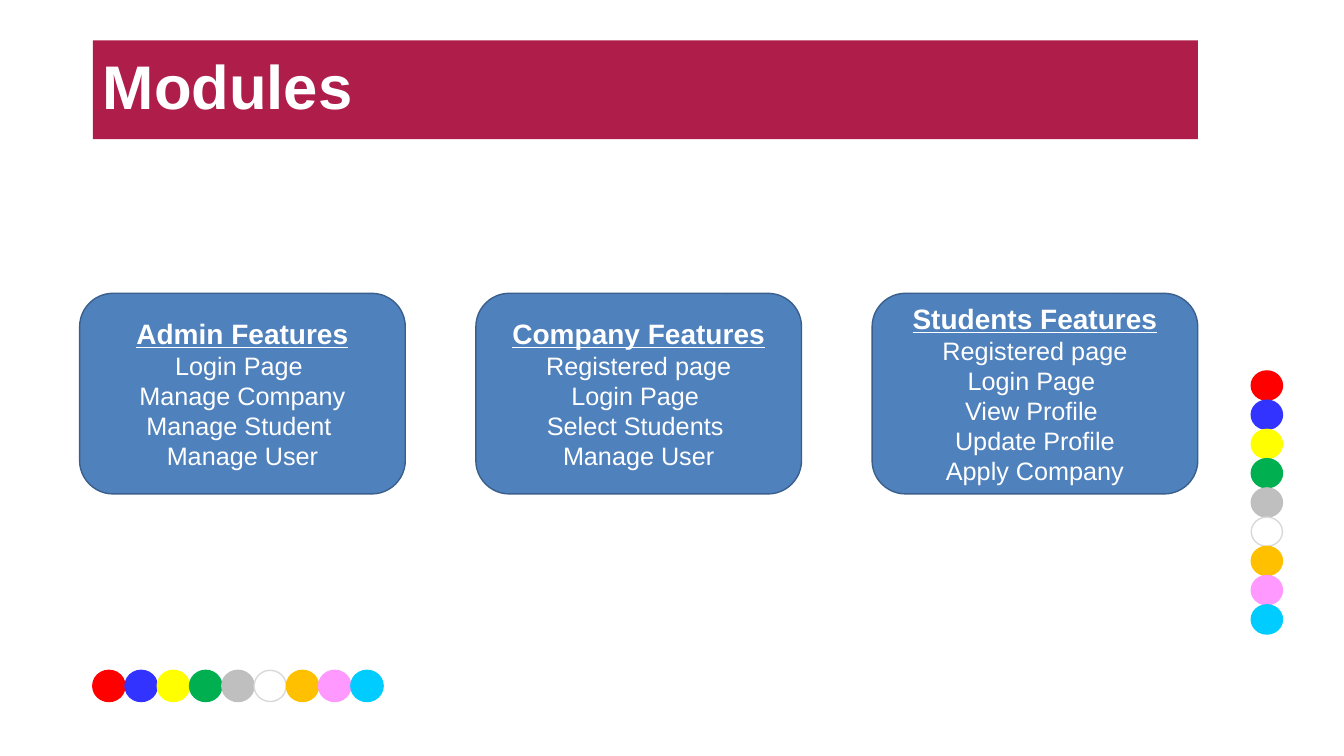
import pptx
import pptx.dml.color
import pptx.enum.shapes
import pptx.enum.text
import pptx.util

Inches = pptx.util.Inches
Pt = pptx.util.Pt
SHAPES = pptx.enum.shapes.MSO_SHAPE
ALIGN = pptx.enum.text.PP_ALIGN

WHITE = "FFFFFF"
CRIMSON = "AF1D4A"
CARD_BLUE = "4F81BD"
CARD_EDGE = "3A5F8C"
DOT_COLORS = ["FF0000", "3333FF", "FFFF00", "00B050", "BFBFBF",
              WHITE, "FFC000", "FF99FF", "00CCFF"]
WHITE_DOT_EDGE = "D9D9D9"

MODULES = [
    ("Admin Features",
     ["Login Page ", "Manage Company", "Manage Student ", "Manage User"]),
    ("Company Features",
     ["Registered page", "Login Page ", "Select Students ", "Manage User"]),
    ("Students Features",
     ["Registered page", "Login Page ", "View Profile ", "Update Profile",
      "Apply Company"]),
]


def rgb(hex_color):
    """Turn a hex string into a colour."""
    return pptx.dml.color.RGBColor.from_string(hex_color)


def paint(shape, fill, edge):
    """Give a shape a solid fill and a 1 pt outline, without shadow."""
    shape.shadow.inherit = False
    shape.fill.solid()
    shape.fill.fore_color.rgb = rgb(fill)
    shape.line.color.rgb = rgb(edge)
    shape.line.width = Pt(1)


def add_text(paragraph, text, size, bold=False, underline=False):
    """Add one white Arial run to a paragraph."""
    run = paragraph.add_run()
    run.text = text
    run.font.name = "Arial"
    run.font.size = Pt(size)
    run.font.bold = bold
    run.font.underline = underline
    run.font.color.rgb = rgb(WHITE)


def add_heading(slide, text):
    """Place the title on its crimson band."""
    heading = slide.shapes.title
    heading.left, heading.top = Inches(0.92), Inches(0.4)
    heading.width, heading.height = Inches(10.96), Inches(0.98)
    heading.fill.solid()
    heading.fill.fore_color.rgb = rgb(CRIMSON)
    frame = heading.text_frame
    frame.auto_size = pptx.enum.text.MSO_AUTO_SIZE.NONE
    frame.vertical_anchor = pptx.enum.text.MSO_ANCHOR.MIDDLE
    line = frame.paragraphs[0]
    line.alignment = ALIGN.LEFT
    line.line_spacing = 0.9
    add_text(line, text, 44, bold=True)


def add_dots(slide, left, top, width, height, step_x, step_y):
    """Draw the coloured dots as one group, in a row or a column."""
    dots = slide.shapes.add_group_shape()
    for i, color in enumerate(DOT_COLORS):
        dot = dots.shapes.add_shape(
            SHAPES.FLOWCHART_CONNECTOR,
            Inches(left + i * step_x), Inches(top + i * step_y),
            Inches(width), Inches(height))
        paint(dot, color, WHITE_DOT_EDGE if color == WHITE else color)


def add_module(slide, left, name, features):
    """Draw one rounded card with a module name and its features."""
    card = slide.shapes.add_shape(
        SHAPES.ROUNDED_RECTANGLE,
        Inches(left), Inches(2.91), Inches(3.23), Inches(1.99))
    paint(card, CARD_BLUE, CARD_EDGE)
    frame = card.text_frame
    frame.word_wrap = True
    frame.vertical_anchor = pptx.enum.text.MSO_ANCHOR.MIDDLE
    header = frame.paragraphs[0]
    header.alignment = ALIGN.CENTER
    add_text(header, name, 20, bold=True, underline=True)
    for feature in features:
        line = frame.add_paragraph()
        line.alignment = ALIGN.CENTER
        add_text(line, feature, 18)


def main():
    """Build the modules slide and save it."""
    deck = pptx.Presentation()
    deck.slide_width, deck.slide_height = Inches(13.33), Inches(7.5)
    slide = deck.slides.add_slide(deck.slide_layouts.get_by_name("Title Only"))
    add_dots(slide, 12.41, 3.68, 0.31, 0.29, 0, 0.29)
    add_dots(slide, 0.92, 6.65, 0.32, 0.31, 0.32, 0)
    add_heading(slide, "Modules")
    for i, (name, features) in enumerate(MODULES):
        add_module(slide, 0.79 + i * 3.93, name, features)
    deck.save("out.pptx")


main()
